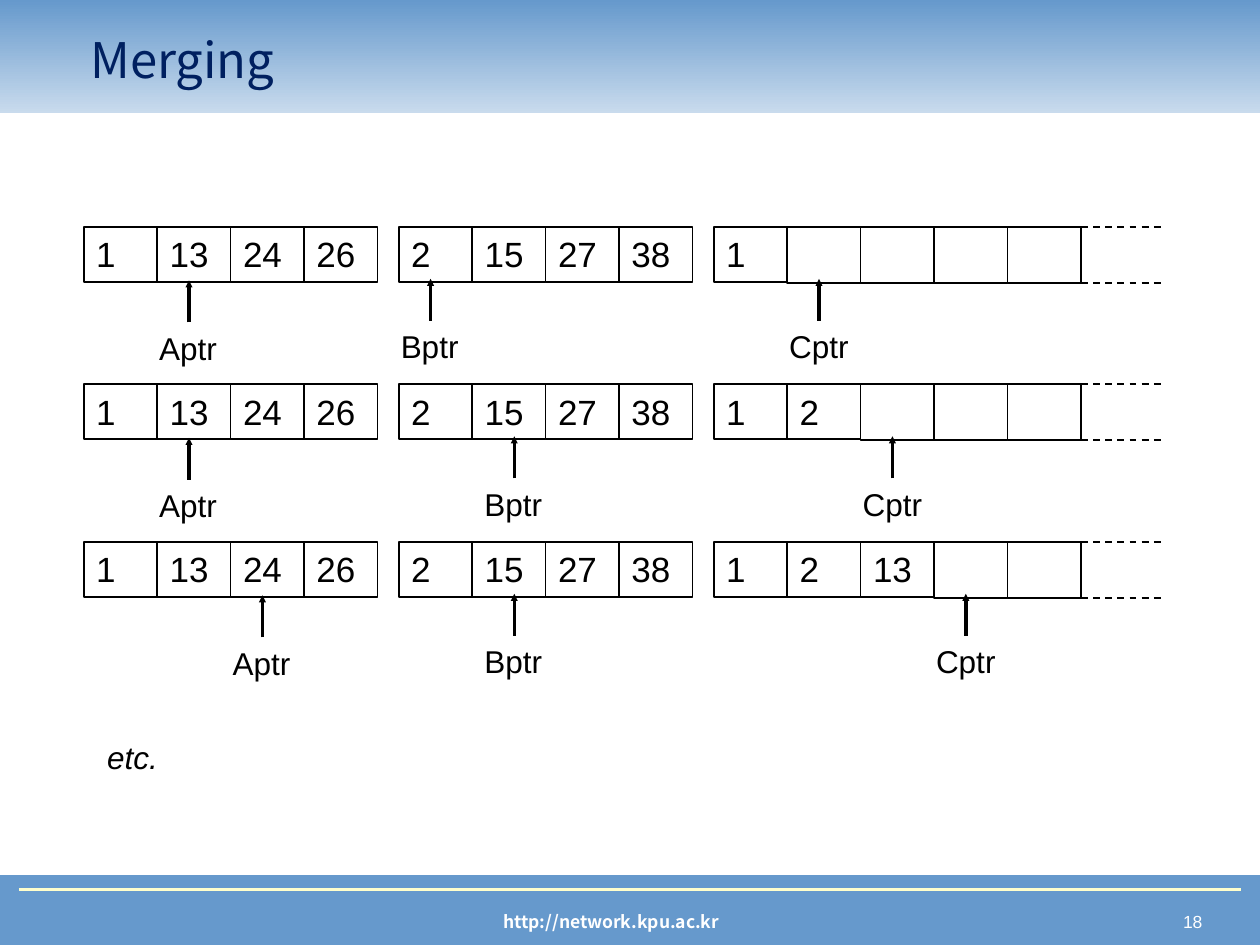
from dataclasses import dataclass

from lxml.etree import SubElement
from pptx import Presentation
from pptx.dml.color import RGBColor
from pptx.enum.dml import MSO_LINE
from pptx.enum.shapes import MSO_CONNECTOR, MSO_SHAPE
from pptx.enum.text import MSO_ANCHOR, PP_ALIGN
from pptx.oxml.ns import qn
from pptx.util import Cm, Pt


@dataclass(frozen=True)
class Theme:
    """Colours, fonts and type sizes of the slide."""
    blue: RGBColor = RGBColor(0x66, 0x99, 0xCC)
    pale: RGBColor = RGBColor(0xC9, 0xDB, 0xED)
    navy: RGBColor = RGBColor(0x00, 0x20, 0x60)
    cream: RGBColor = RGBColor(0xFF, 0xFF, 0xCC)
    white: RGBColor = RGBColor(0xFF, 0xFF, 0xFF)
    black: RGBColor = RGBColor(0x00, 0x00, 0x00)
    body: str = "Arial"
    heading: str = "Noto Sans CJK KR"
    title_size: int = 28
    cell_size: int = 20
    label_size: int = 18
    footer_size: int = 10


T = Theme()
CELL_W, CELL_H, EMPTY_H = 1.48, 1.11, 1.13
ROW_TOP, ROW_STEP = 4.57, 3.175
LEFT = {"A": 1.69, "B": 8.04, "C": 14.39}
OUTPUT_SLOTS, DASH_END = 5, 23.5
LABEL_DROP = {"A": 1.93, "B": 1.9, "C": 1.9}
STEPS = [
    ([1], {"A": 1, "B": 0, "C": 1}),
    ([1, 2], {"A": 1, "B": 1.14, "C": 2}),
    ([1, 2, 13], {"A": 2, "B": 1.14, "C": 3}),
]


def write(tf, text, size, color=T.black, name=T.body, align=PP_ALIGN.LEFT,
          anchor=MSO_ANCHOR.TOP, bold=False, italic=False):
    """Put one formatted paragraph in a text frame."""
    tf.word_wrap = True
    tf.vertical_anchor = anchor
    p = tf.paragraphs[0]
    p.text = text
    p.alignment = align
    p.font.size, p.font.name = Pt(size), name
    p.font.bold, p.font.italic = bold, italic
    p.font.color.rgb = color


def add_text(s, x, y, w, h, text, size, **style):
    """Add a text box."""
    box = s.shapes.add_textbox(Cm(x), Cm(y), Cm(w), Cm(h))
    write(box.text_frame, text, size, **style)


def add_rect(s, x, y, w, h):
    """Add a rectangle without shadow, fill left to the caller."""
    sp = s.shapes.add_shape(MSO_SHAPE.RECTANGLE, Cm(x), Cm(y), Cm(w), Cm(h))
    sp.shadow.inherit = False
    return sp


def add_line(s, x1, y1, x2, y2, width, color=T.black, dashed=False, arrow=False):
    """Add a straight line, dashed or with an arrowhead if asked."""
    line = s.shapes.add_connector(MSO_CONNECTOR.STRAIGHT, Cm(x1), Cm(y1), Cm(x2), Cm(y2))
    line.line.width = Pt(width)
    line.line.color.rgb = color
    if dashed:
        line.line.dash_style = MSO_LINE.DASH
    if arrow:
        SubElement(line.line._get_or_add_ln(), qn("a:tailEnd"), type="triangle", w="sm", len="sm")
    SubElement(line._element.spPr, qn("a:effectLst"))


def add_cell(s, x, y, value=None):
    """Add one array cell, empty when there is no value."""
    sp = add_rect(s, x, y, CELL_W, EMPTY_H if value is None else CELL_H)
    sp.fill.background()
    sp.line.color.rgb, sp.line.width = T.black, Pt(1)
    if value is not None:
        write(sp.text_frame, str(value), T.cell_size)


def add_array(s, x, y, values):
    """Add a row of adjoining cells."""
    for i, value in enumerate(values):
        add_cell(s, x + i * CELL_W, y, value)


def add_pointer(s, array, slot, y):
    """Add an upward arrow with its label below a slot of an array."""
    x = LEFT[array] + slot * CELL_W
    top = y + LABEL_DROP[array]
    add_text(s, x - 0.21, top, 2.12, 1.02, f"{array}ptr", T.label_size)
    add_line(s, x + 0.64, top, x + 0.64, top - 0.85, 2, arrow=True)


def add_step(s, y, output, slots):
    """Add one merging step: both inputs, the output and the pointers."""
    add_array(s, LEFT["A"], y, [1, 13, 24, 26])
    add_array(s, LEFT["B"], y, [2, 15, 27, 38])
    add_array(s, LEFT["C"], y, output + [None] * (OUTPUT_SLOTS - len(output)))
    end = LEFT["C"] + OUTPUT_SLOTS * CELL_W
    for edge in (y, y + EMPTY_H):
        add_line(s, end, edge, DASH_END, edge, 1, dashed=True)
    for array, slot in slots.items():
        add_pointer(s, array, slot, y)


def add_header(s, text):
    """Add the gradient band and place the title over it."""
    band = add_rect(s, 0, 0, 25.4, 2.29)
    band.fill.gradient()
    band.fill.gradient_angle = 90
    for stop, color in zip(band.fill.gradient_stops, (T.pale, T.blue)):
        stop.color.rgb = color
    band.line.fill.background()
    title = s.shapes.title
    title.left, title.top, title.width, title.height = Cm(1.57), Cm(0.41), Cm(21.44), Cm(1.57)
    write(title.text_frame, text, T.title_size, T.navy, T.heading, anchor=MSO_ANCHOR.MIDDLE)
    band._element.addnext(title._element)


def add_footer(s, address, number):
    """Add the footer bar with its rule, address and page number."""
    bar = add_rect(s, 0, 17.65, 25.4, 1.4)
    bar.fill.solid()
    bar.fill.fore_color.rgb = T.blue
    bar.line.color.rgb, bar.line.width = T.blue, Pt(0.75)
    add_line(s, 0.38, 17.93, 25.02, 17.93, 1.5, T.cream)
    add_text(s, 5.77, 18.24, 13.1, 0.69, address, T.footer_size, color=T.white,
             name=T.heading, align=PP_ALIGN.CENTER, bold=True)
    add_text(s, 18.85, 18.24, 5.64, 0.69, number, T.footer_size, color=T.white,
             align=PP_ALIGN.RIGHT)


def main():
    """Build the slide and save it."""
    prs = Presentation()
    prs.slide_width, prs.slide_height = Cm(25.4), Cm(19.05)
    s = prs.slides.add_slide(prs.slide_layouts[5])
    add_footer(s, "http://network.kpu.ac.kr", "18")
    add_header(s, "Merging")
    for i, (output, slots) in enumerate(STEPS):
        add_step(s, ROW_TOP + i * ROW_STEP, output, slots)
    add_text(s, 1.91, 14.76, 2.12, 1.02, "etc.", T.label_size, italic=True)
    prs.save("out.pptx")


if __name__ == "__main__":
    main()
